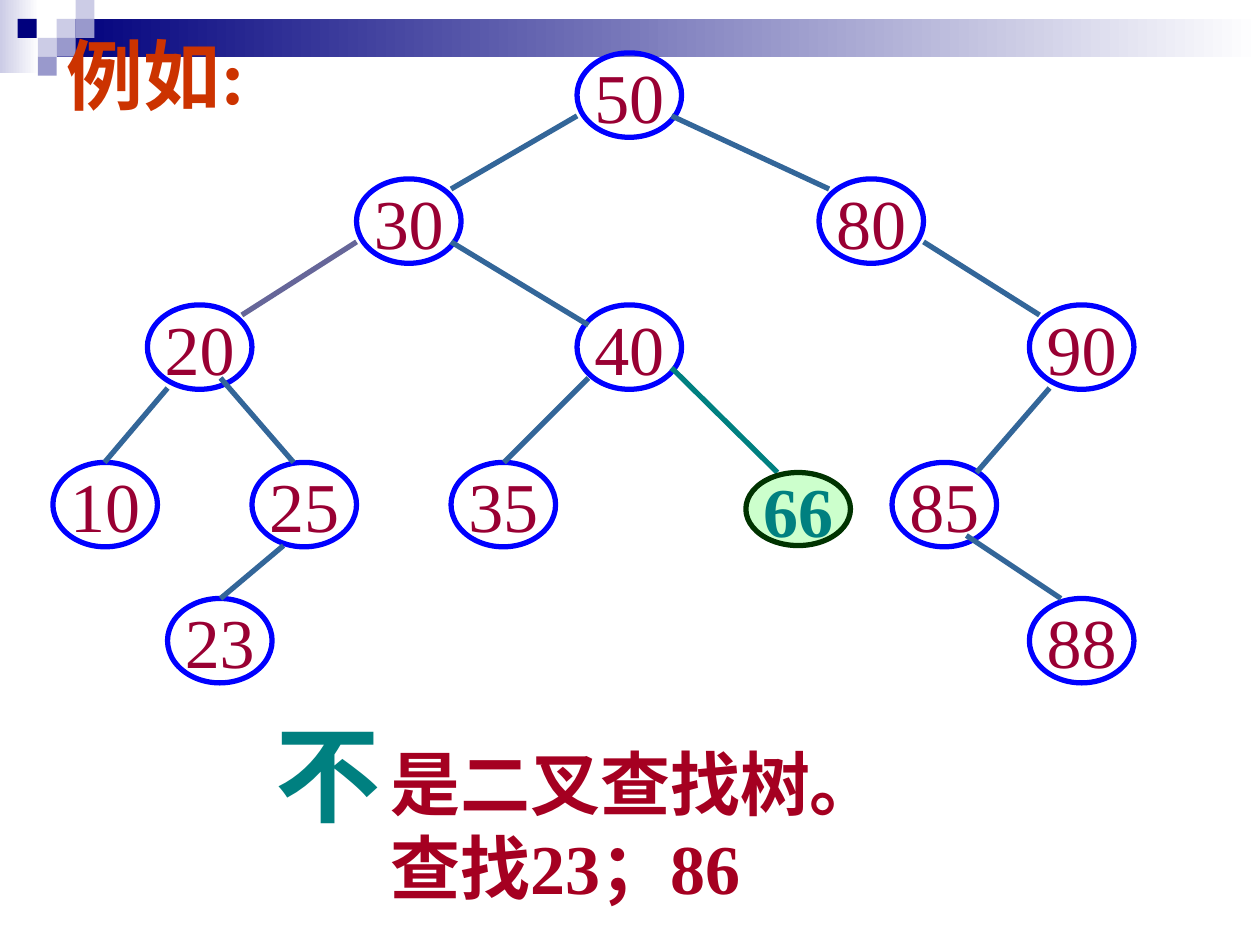
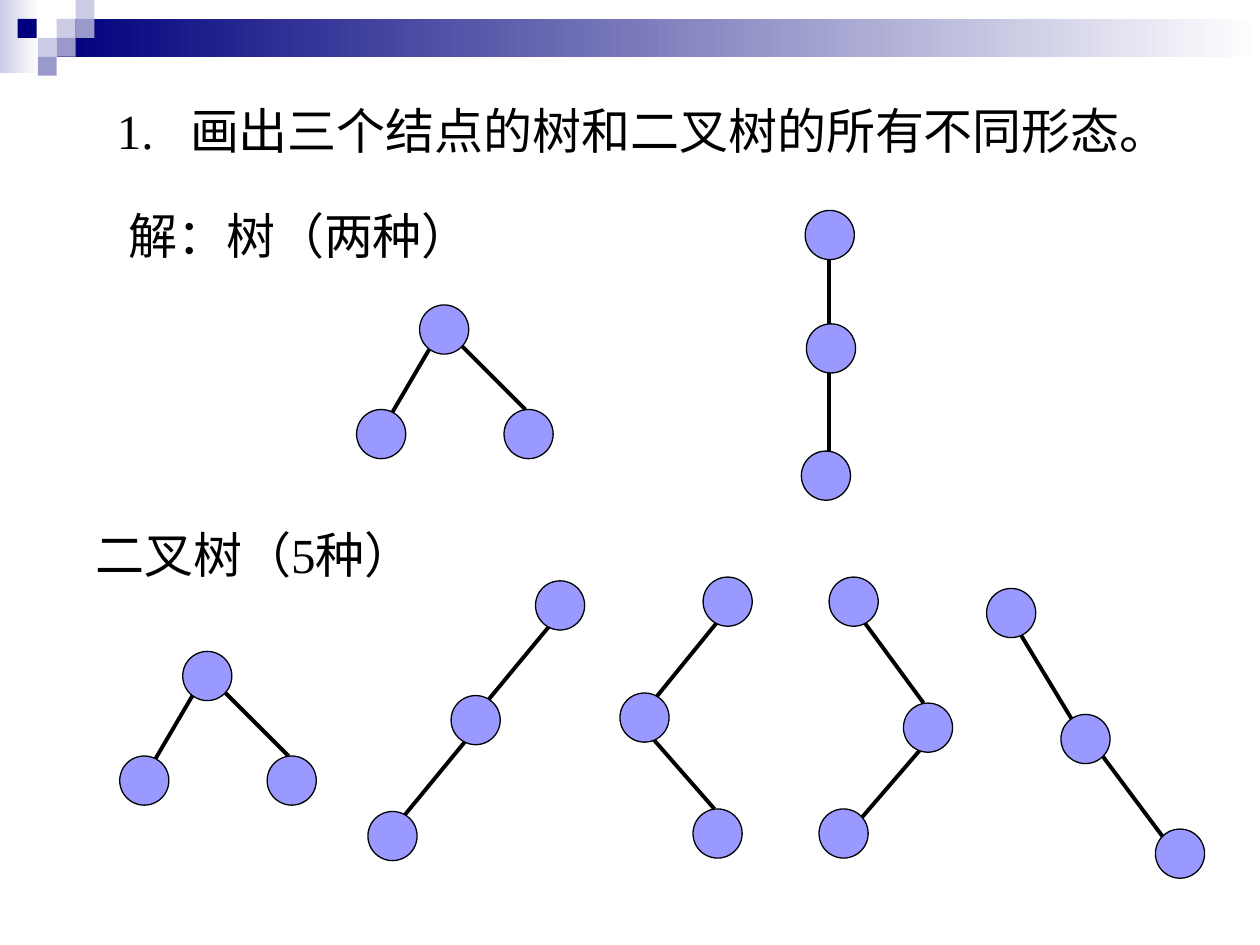
import pptx
import pptx.dml.color
import pptx.enum.shapes
import pptx.enum.text
import pptx.util
from lxml import etree

Inches = pptx.util.Inches
Pt = pptx.util.Pt
hue = pptx.dml.color.RGBColor.from_string
KINDS = pptx.enum.shapes.MSO_SHAPE
ANCHOR = pptx.enum.text.MSO_ANCHOR
ALIGN = pptx.enum.text.PP_ALIGN
DRAWML = "http://schemas.openxmlformats.org/drawingml/2006/main"

FONT = "Times New Roman"
NAVY, PALE, MID, WHITE = "00007D", "CCCCE6", "9999CC", "FFFFFF"
BLUE, WINE, STEEL, TEAL = "0000FF", "990033", "336699", "008080"
BLACK, LILAC = "000000", "9999FF"


def draw(slide, kind, box, fill=None, line=None, width=0.75):
    """Add a shape (left, top, width, height) or, with no kind, a line (x1, y1, x2, y2).

    A pair of colours as fill gives a gradient from left to right.
    """
    place = [Inches(v) for v in box]
    if kind is None:
        item = slide.shapes.add_connector(pptx.enum.shapes.MSO_CONNECTOR.STRAIGHT, *place)
    else:
        item = slide.shapes.add_shape(kind, *place)
        item.shadow.inherit = False
        if fill is None:
            item.fill.background()
        elif isinstance(fill, tuple):
            item.fill.gradient()
            item.fill.gradient_angle = 0
            for stop, shade in zip(item.fill.gradient_stops, fill):
                stop.color.rgb = hue(shade)
        else:
            item.fill.solid()
            item.fill.fore_color.rgb = hue(fill)
    if line:
        item.line.color.rgb = hue(line)
        item.line.width = Pt(width)
    else:
        item.line.fill.background()
    if kind is None:
        etree.SubElement(item._element.spPr, f"{{{DRAWML}}}effectLst")
    return item


def write(shape, text, size=28, color=BLACK, bold=False, align=ALIGN.LEFT,
          anchor=ANCHOR.TOP, wrap=False, hang=0):
    frame = shape.text_frame
    frame.word_wrap = wrap
    frame.vertical_anchor = anchor
    frame.text = text
    for para in frame.paragraphs:
        para.alignment = align
        if hang:
            props = para._p.get_or_add_pPr()
            props.set("marL", str(Inches(hang)))
            props.set("indent", str(-Inches(hang)))
        para.font.name = FONT
        para.font.size = Pt(size)
        para.font.bold = bold
        para.font.color.rgb = hue(color)


deck = pptx.Presentation()
deck.slide_width, deck.slide_height = Inches(10), Inches(7.5)

# Header band shared by both slides
SIDE = 0.15
TILES = [(0.45, 0.15, PALE), (0.6, 0, PALE), (0.6, 0.15, MID), (0.3, 0.3, PALE),
         (0.14, 0.15, NAVY), (0.45, 0.3, MID), (0.3, 0.45, MID)]
for _ in range(2):
    slide = deck.slides.add_slide(deck.slide_layouts[6])
    draw(slide, KINDS.RECTANGLE, (0, 0, 0.31, 0.58), (PALE, WHITE))
    draw(slide, KINDS.RECTANGLE, (0.45, 0.15, 9.55, 0.3), (NAVY, WHITE))
    for x, y, shade in TILES:
        draw(slide, KINDS.RECTANGLE, (x, y, SIDE, SIDE), shade)
search, forms = deck.slides

# Slide 1: a tree that breaks the search order
keys = [(50, 4.58, 0.42), (30, 2.83, 1.42), (80, 6.5, 1.42), (20, 1.17, 2.42),
        (90, 8.17, 2.42), (10, 0.42, 3.67), (85, 7.08, 3.67), (40, 4.58, 2.42),
        (35, 3.58, 3.67), (25, 2, 3.67), (23, 1.33, 4.75), (88, 8.17, 4.75)]
for key, x, y in keys:
    node = draw(search, KINDS.OVAL, (x, y, 0.83, 0.67), line=BLUE, width=3)
    write(node, str(key), size=40, color=WINE, align=ALIGN.CENTER, anchor=ANCHOR.MIDDLE)

edges = [(4.58, 0.92, 3.58, 1.5), (5.33, 0.92, 6.58, 1.5), (3.58, 1.92, 4.67, 2.58),
         (1.33, 3.08, 0.83, 3.67), (1.75, 3, 2.33, 3.67), (2.25, 4.33, 1.75, 4.75),
         (4.67, 3, 4, 3.67), (7.33, 1.92, 8.25, 2.5), (8.33, 3.08, 7.75, 3.75),
         (7.67, 4.25, 8.42, 4.75)]
for edge in edges:
    draw(search, None, edge, line=STEEL, width=3)
draw(search, None, (2.83, 1.92, 1.92, 2.5), line="666699", width=3)

draw(search, None, (5.33, 2.92, 6.17, 3.75), line=TEAL, width=3)
wrong = draw(search, KINDS.OVAL, (5.92, 3.75, 0.83, 0.58), "CCFFCC", "003300", 3)
write(wrong, "66", size=40, color=TEAL, bold=True, align=ALIGN.CENTER, anchor=ANCHOR.MIDDLE)

notes = [("例如:", (0.43, 0.17, 1.77, 0.84), 44, "CC3300"),
         ("是二叉查找树。\n查找23；86", (3, 5.83, 4.08, 2.1), 40, "A50021"),
         ("不", (2.09, 5.58, 1.03, 1.1), 60, TEAL)]
for text, box, size, color in notes:
    label = search.shapes.add_textbox(*[Inches(v) for v in box])
    write(label, text, size=size, color=color, bold=True)

# Slide 2: every form of a tree with three nodes
lines = [("1.\t画出三个结点的树和二叉树的所有不同形态。", (0.83, 0.75, 8.75, 0.57), 0.58),
         ("解：树（两种）", (0.92, 1.58, 2.92, 0.57), 0),
         ("二叉树（5种）", (0.66, 4.11, 2.91, 0.57), 0)]
for text, box, hang in lines:
    label = forms.shapes.add_textbox(*[Inches(v) for v in box])
    write(label, text, wrap=hang > 0, hang=hang)

# Each tree: the corners of its nodes, then its edges
trees = [
    ([(6.39, 1.67), (6.4, 2.57), (6.36, 3.58)],
     [(6.58, 1.92, 6.58, 2.67), (6.58, 2.83, 6.58, 3.67)]),
    ([(4.25, 4.61), (3.58, 5.52), (2.92, 6.44)],
     [(4.45, 4.86, 3.83, 5.61), (3.77, 5.79, 3.17, 6.52)]),
    ([(5.58, 4.58), (4.92, 5.5), (5.5, 6.42)],
     [(5.78, 4.83, 5.17, 5.58), (5.1, 5.77, 5.67, 6.42)]),
    ([(6.58, 4.58), (7.17, 5.58), (6.5, 6.42)],
     [(6.78, 4.83, 7.33, 5.58), (7.33, 5.92, 6.83, 6.5)]),
    ([(7.83, 4.67), (8.42, 5.67), (9.17, 6.58)],
     [(8.03, 4.92, 8.58, 5.83), (8.75, 6, 9.25, 6.67)]),
]
# The fan with two children stands in both groups
for x, y in [(3.33, 2.42), (1.45, 5.17)]:
    trees.append(([(x, y), (x - 0.5, y + 0.83), (x + 0.67, y + 0.83)],
                  [(x + 0.09, y + 0.33, x - 0.25, y + 0.91),
                   (x + 0.34, y + 0.33, x + 0.84, y + 0.83)]))

for nodes, edges in trees:
    for edge in edges:
        draw(forms, None, edge, line=BLACK, width=2.25)
    for x, y in nodes:
        draw(forms, KINDS.OVAL, (x, y, 0.39, 0.39), LILAC, BLACK)

deck.save("out.pptx")
